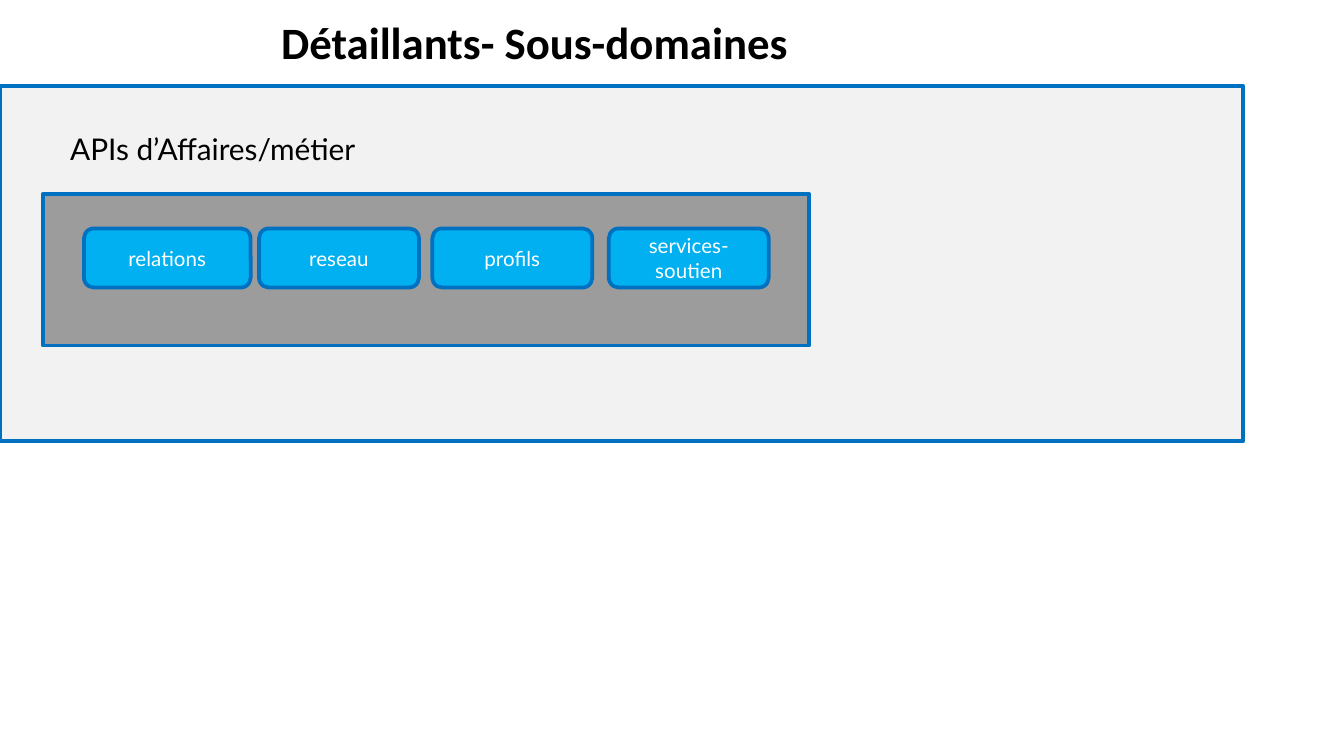
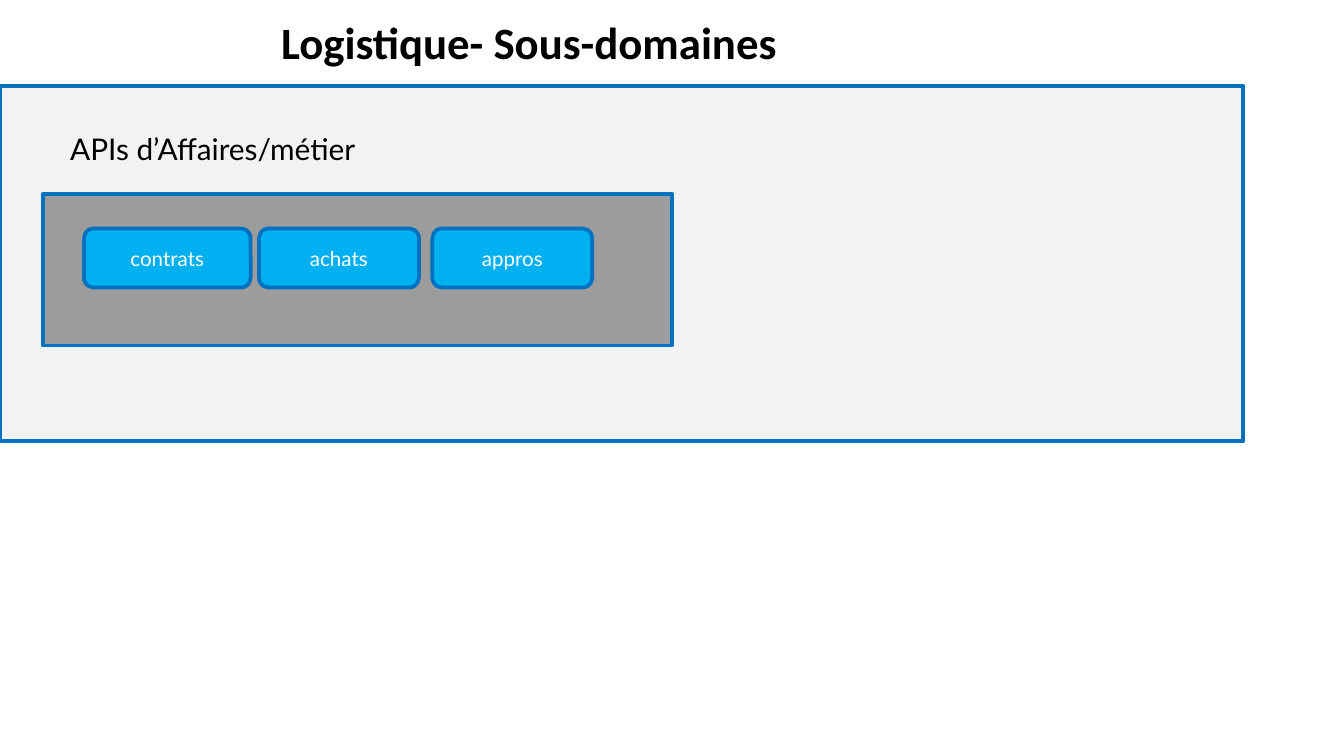
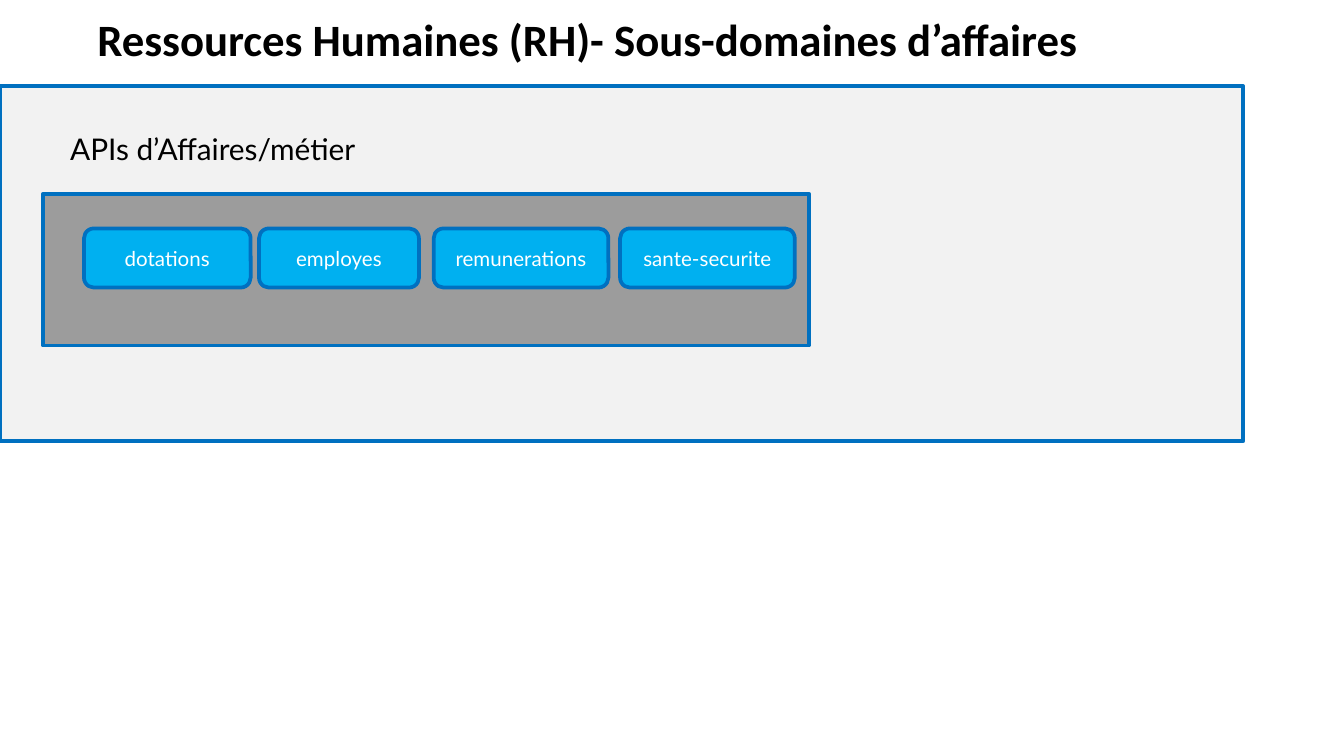
from pptx import Presentation
from pptx.dml.color import RGBColor
from pptx.enum.shapes import MSO_SHAPE as Shape
from pptx.enum.text import MSO_ANCHOR as Anchor, MSO_AUTO_SIZE as AutoSize, PP_ALIGN as Align
from pptx.util import Inches, Pt

BLACK = RGBColor(0x00, 0x00, 0x00)
WHITE = RGBColor(0xFF, 0xFF, 0xFF)
PANEL_GREY = RGBColor(0xF2, 0xF2, 0xF2)
GROUP_GREY = RGBColor(0x9C, 0x9C, 0x9C)
CHIP_BLUE = RGBColor(0x00, 0xB0, 0xF0)
BORDER_BLUE = RGBColor(0x00, 0x70, 0xC0)

deck = Presentation()
deck.slide_width = Inches(10)
deck.slide_height = deck.slide_width * 9 // 16
CELL = deck.slide_width / 100


def add_block(page, kind, area, fill):
    block = page.shapes.add_shape(kind, *(round(CELL * cells) for cells in area))
    block.shadow.inherit = False
    block.fill.solid()
    block.fill.fore_color.rgb = fill
    block.line.color.rgb = BORDER_BLUE
    block.line.width = Pt(2)
    return block


def write(box, text, size, font="Lato", color=BLACK, bold=False, align=Align.LEFT,
          anchor=Anchor.TOP, wrap=True):
    frame = box.text_frame
    frame.word_wrap = wrap
    frame.vertical_anchor = anchor
    para = frame.paragraphs[0]
    para.alignment = align
    span = para.add_run()
    span.text = text
    span.font.name = font
    span.font.size = Pt(size)
    span.font.bold = bold
    span.font.color.rgb = color


CHIP_TOP, CHIP_HEIGHT = 17, 4.4
FIRST_CHIPS = [(6.25, 12.4), (19.27, 11.9)]
NARROW_CHIPS = FIRST_CHIPS + [(32.17, 11.9), (45.3, 11.9)]
WIDE_CHIPS = FIRST_CHIPS + [(32.27, 13), (46.14, 13)]

domains = [
    ("Détaillants- Sous-domaines", 19.93, 0.6, 57, NARROW_CHIPS,
     ["relations", "reseau", "profils", "services-soutien"]),
    ("Logistique- Sous-domaines", 19.93, 0.6, 46.8, NARROW_CHIPS,
     ["contrats", "achats", "appros"]),
    ("Ressources Humaines (RH)- Sous-domaines d’affaires", 6.25, 0.4, 57, WIDE_CHIPS,
     ["dotations", "employes", "remunerations", "sante-securite"]),
]

for title, title_left, title_top, group_width, chip_columns, subdomains in domains:
    page = deck.slides.add_slide(deck.slide_layouts[6])
    add_block(page, Shape.RECTANGLE, (0, 6.4, 92.5, 26.44), PANEL_GREY)
    add_block(page, Shape.RECTANGLE, (3.2, 14.42, group_width, 11.3), GROUP_GREY)

    label_area = (4.24, 9.2, 23.4, 3.7)
    label_box = page.shapes.add_textbox(*(round(CELL * cells) for cells in label_area))
    write(label_box, "APIs d’Affaires/métier", 16, wrap=False)
    label_box.text_frame.auto_size = AutoSize.SHAPE_TO_FIT_TEXT

    title_area = (title_left, title_top, 75.8, 7.5)
    title_box = page.shapes.add_textbox(*(round(CELL * cells) for cells in title_area))
    write(title_box, title, 24, font="Calibri", bold=True)

    for (left, width), subdomain in zip(chip_columns, subdomains):
        chip = add_block(page, Shape.ROUNDED_RECTANGLE,
                         (left, CHIP_TOP, width, CHIP_HEIGHT), CHIP_BLUE)
        write(chip, subdomain, 11, color=WHITE, align=Align.CENTER, anchor=Anchor.MIDDLE)

deck.save("out.pptx")
